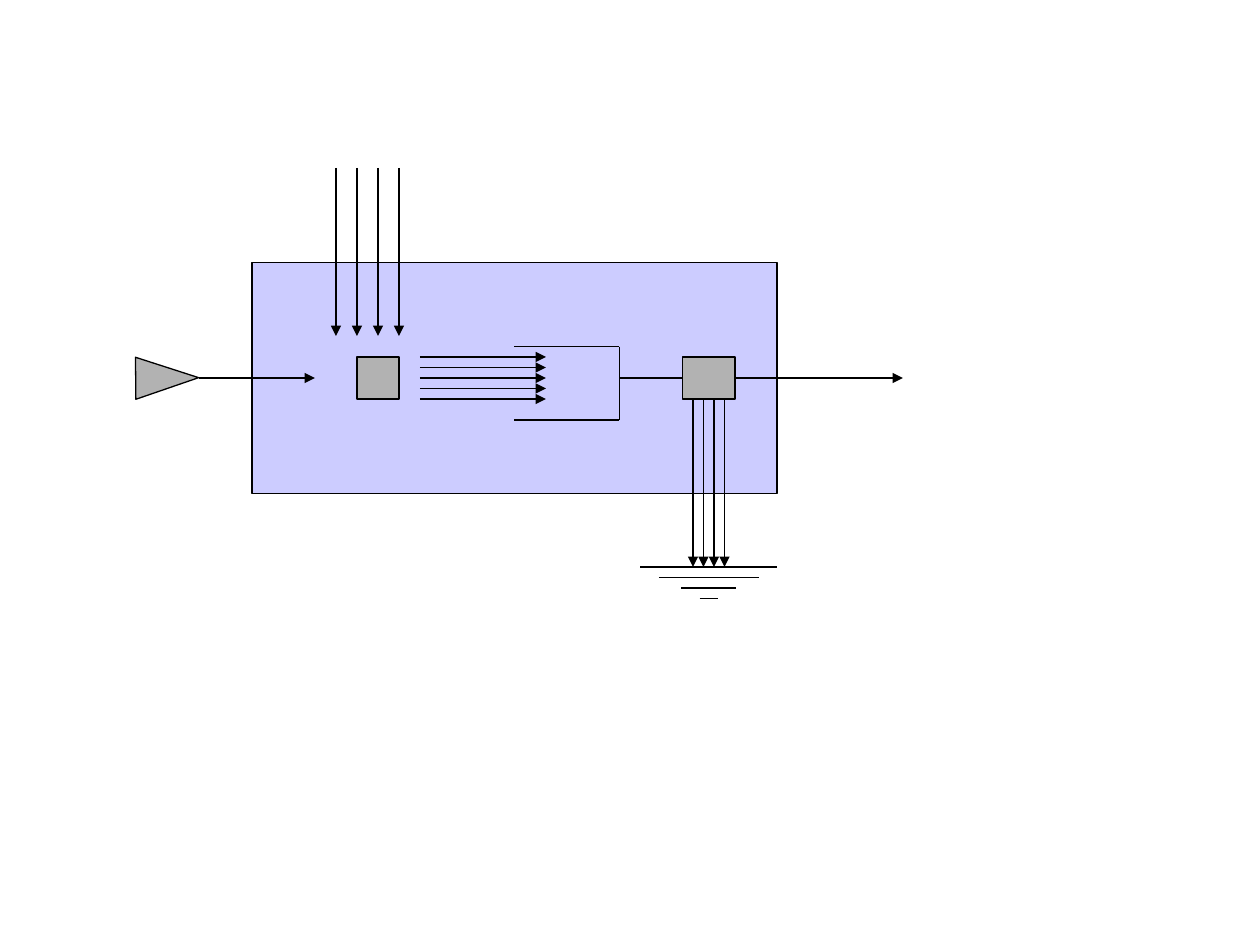
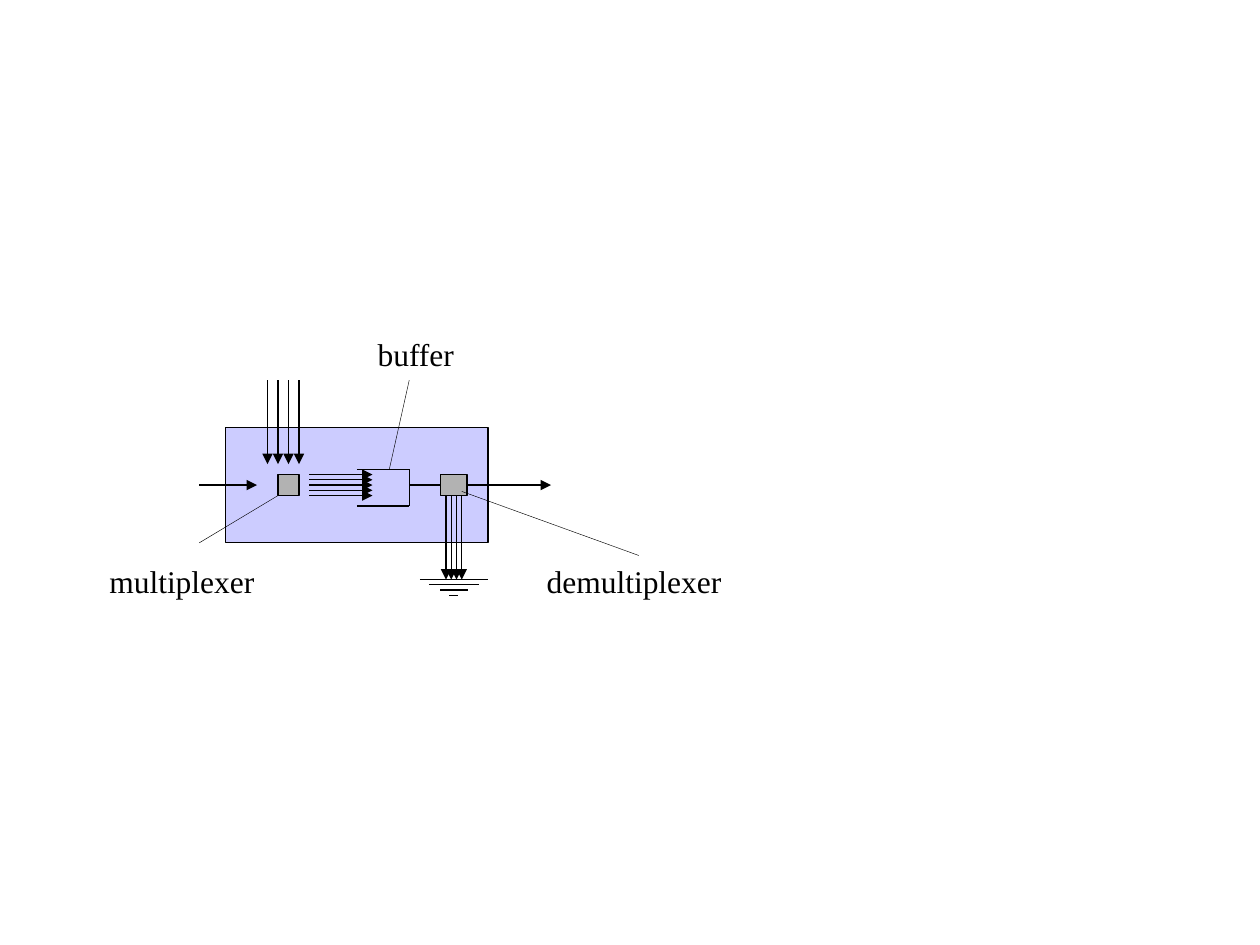
from dataclasses import dataclass
from typing import NamedTuple

from lxml.etree import SubElement
from pptx import Presentation
from pptx.dml.color import RGBColor
from pptx.enum.shapes import MSO_CONNECTOR as Connector, MSO_SHAPE as Preset
from pptx.enum.text import MSO_AUTO_SIZE as AutoSize
from pptx.oxml.ns import qn
from pptx.util import Inches, Length, Pt


@dataclass(frozen=True)
class Theme:
    ink: RGBColor = RGBColor(0x00, 0x00, 0x00)
    housing: RGBColor = RGBColor(0xCC, 0xCC, 0xFF)
    component: RGBColor = RGBColor(0xB2, 0xB2, 0xB2)
    font: str = "Times New Roman"
    label_size: Length = Pt(18)
    stroke: Length = Pt(0.75)
    leader_stroke: Length = Pt(0.25)


@dataclass(frozen=True)
class Grid:
    """Square cells, counted from an origin given in inches."""
    cells_per_inch: int
    left: float = 0
    top: float = 0

    def x(self, column: float) -> Length:
        return Inches(self.left + column / self.cells_per_inch)

    def y(self, row: float) -> Length:
        return Inches(self.top + row / self.cells_per_inch)

    def size(self, cells: float) -> Length:
        return Inches(cells / self.cells_per_inch)


class Box(NamedTuple):
    column: float
    row: float
    columns: float
    rows: float
    fill: RGBColor


class Line(NamedTuple):
    start: tuple[float, float]
    end: tuple[float, float]
    arrow: bool = False


class Label(NamedTuple):
    text: str
    column: float
    row: float
    columns: float
    leader: Line


THEME = Theme()
SLIDE_WIDTH, SLIDE_HEIGHT = Inches(10), Inches(7.5)
LARGE = Grid(12)
SMALL = Grid(24, left=0.79, top=2.35)
LABEL_ROWS = 9.6

# Components of the node, in grid cells; the signal runs along AXIS
AXIS = 36
HOUSING = Box(24, 25, 50, 22, THEME.housing)
MULTIPLEXER = Box(34, 34, 4, 4, THEME.component)
DEMULTIPLEXER = Box(65, 34, 5, 4, THEME.component)
SOURCE = Box(13.92, 33, 4, 6, THEME.component)
BUFFER_LEFT, BUFFER_RIGHT, BUFFER_TOP, BUFFER_BOTTOM = 49, 59, 33, 40
GROUND_CENTRE, GROUND_ROW = 67.5, 54
GROUND_WIDTHS = (13, 9.5, 5.2, 1.75)

INPUTS = [Line((19, AXIS), (30, AXIS), True)] + [
    Line((column, 16), (column, 32), True) for column in range(32, 40, 2)]
BUFFER = [
    Line((BUFFER_LEFT, BUFFER_TOP), (BUFFER_RIGHT, BUFFER_TOP)),
    Line((BUFFER_LEFT, BUFFER_BOTTOM), (BUFFER_RIGHT, BUFFER_BOTTOM)),
    Line((BUFFER_RIGHT, BUFFER_TOP), (BUFFER_RIGHT, BUFFER_BOTTOM)),
]
QUEUE = [Line((40, row), (52, row), True) for row in range(AXIS - 2, AXIS + 3)]
OUTPUT = Line((BUFFER_RIGHT, AXIS), (86, AXIS), True)
DROPS = [Line((column, 38), (column, GROUND_ROW), True) for column in range(66, 70)]
GROUND = [
    Line((GROUND_CENTRE - width / 2, GROUND_ROW + step),
         (GROUND_CENTRE + width / 2, GROUND_ROW + step))
    for step, width in enumerate(GROUND_WIDTHS)]

LABELS = [
    Label("multiplexer", -0.5, 49.4, 32.4, Line((19, 47), (34, 38))),
    Label("demultiplexer", 82.8, 49.4, 38.2, Line((102.7, 49.4), (69, 37.2))),
    Label("buffer", 50.6, 6.2, 19.5, Line((59, 16), (55.2, 33))),
]


def draw_box(shapes, grid: Grid, box: Box, preset=Preset.RECTANGLE):
    shape = shapes.add_shape(preset, grid.x(box.column), grid.y(box.row),
                             grid.size(box.columns), grid.size(box.rows))
    shape.shadow.inherit = False
    shape.fill.solid()
    shape.fill.fore_color.rgb = box.fill
    shape.line.color.rgb = THEME.ink
    shape.line.width = THEME.stroke
    return shape


def draw_line(shapes, grid: Grid, line: Line, width: Length = THEME.stroke) -> None:
    (left, top), (right, bottom) = line.start, line.end
    connector = shapes.add_connector(Connector.STRAIGHT, grid.x(left), grid.y(top),
                                     grid.x(right), grid.y(bottom))
    connector.line.color.rgb = THEME.ink
    connector.line.width = width
    properties = connector._element.spPr
    if line.arrow:
        SubElement(properties.find(qn("a:ln")), qn("a:tailEnd"), type="triangle")
    SubElement(properties, qn("a:effectLst"))


def draw_lines(shapes, grid: Grid, lines: list[Line]) -> None:
    for line in lines:
        draw_line(shapes, grid, line)


def draw_node(slide, grid: Grid) -> None:
    """Multiplexer, buffer and demultiplexer in one housing, as a group."""
    shapes = slide.shapes.add_group_shape().shapes
    draw_box(shapes, grid, HOUSING)
    draw_box(shapes, grid, MULTIPLEXER)
    draw_lines(shapes, grid, INPUTS + BUFFER + QUEUE + [OUTPUT])
    draw_box(shapes, grid, DEMULTIPLEXER)
    draw_lines(shapes, grid, DROPS + GROUND)


def draw_label(slide, grid: Grid, label: Label) -> None:
    box = slide.shapes.add_textbox(grid.x(label.column), grid.y(label.row),
                                   grid.size(label.columns), grid.size(LABEL_ROWS))
    frame = box.text_frame
    frame.word_wrap = False
    frame.auto_size = AutoSize.SHAPE_TO_FIT_TEXT
    para = frame.paragraphs[0]
    para.text = label.text
    para.font.name = THEME.font
    para.font.size = THEME.label_size
    para.font.color.rgb = THEME.ink
    draw_line(slide.shapes, grid, label.leader, THEME.leader_stroke)


def main() -> None:
    deck = Presentation()
    deck.slide_width, deck.slide_height = SLIDE_WIDTH, SLIDE_HEIGHT
    blank = deck.slide_layouts[6]

    # Large node, fed by a source
    node_slide = deck.slides.add_slide(blank)
    source = draw_box(node_slide.shapes, LARGE, SOURCE, Preset.ISOSCELES_TRIANGLE)
    source.rotation = 89.5
    draw_node(node_slide, LARGE)

    # Small node with its components named
    labelled_slide = deck.slides.add_slide(blank)
    draw_node(labelled_slide, SMALL)
    for label in LABELS:
        draw_label(labelled_slide, SMALL, label)

    deck.save("out.pptx")


if __name__ == "__main__":
    main()
